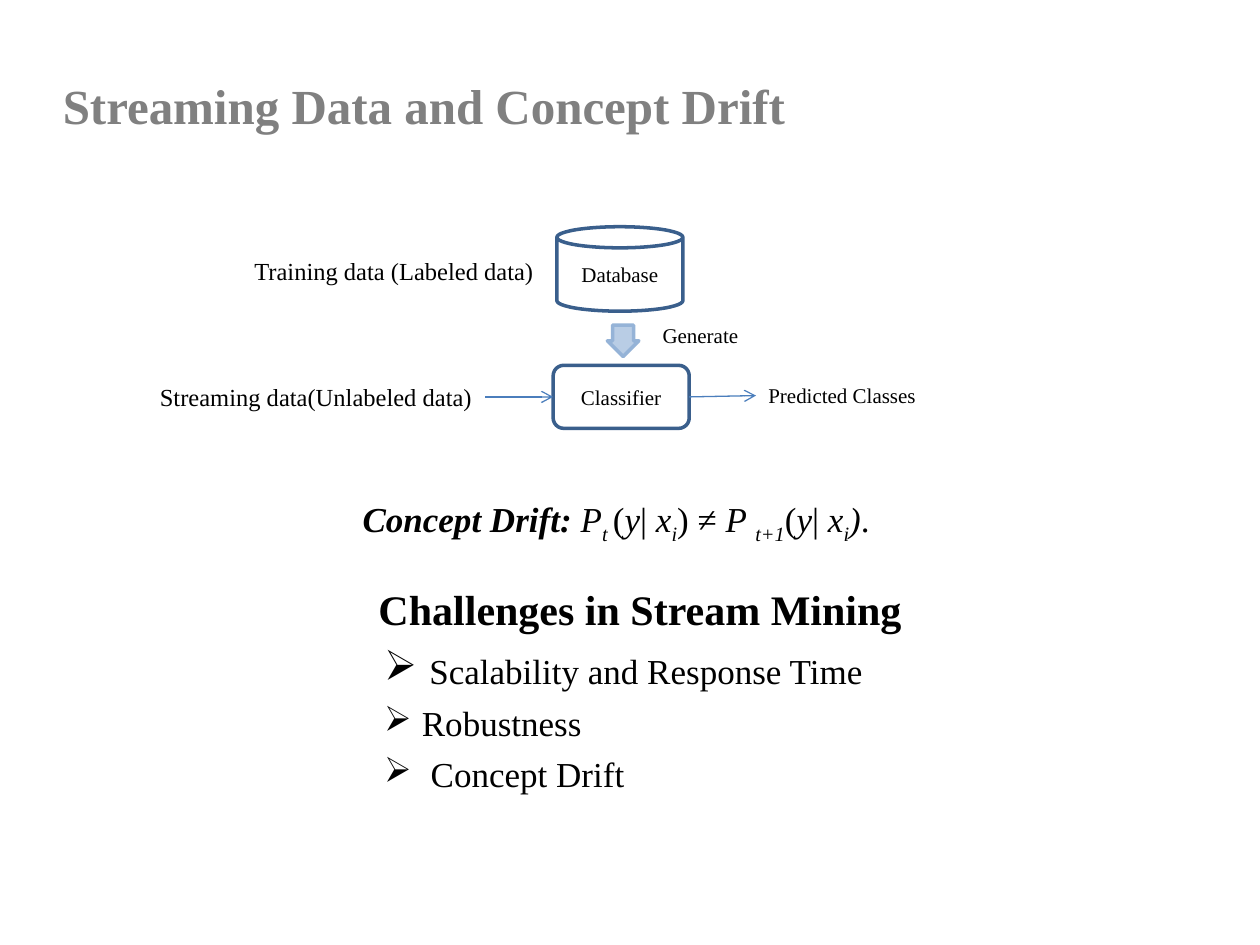
from lxml.etree import SubElement
from pptx import Presentation
from pptx.dml.color import RGBColor
from pptx.enum.shapes import MSO_CONNECTOR, MSO_SHAPE
from pptx.enum.text import MSO_ANCHOR, PP_ALIGN
from pptx.oxml.ns import qn
from pptx.util import Inches, Pt

FONT = "Times New Roman"
BLACK = RGBColor(0x00, 0x00, 0x00)
GRAY = RGBColor(0x80, 0x80, 0x80)
OUTLINE = RGBColor(0x3A, 0x5F, 0x8C)
FLOW = RGBColor(0x4B, 0x7E, 0xBC)
ARROW_FILL = RGBColor(0xB9, 0xCD, 0xE5)
ARROW_LINE = RGBColor(0x95, 0xB3, 0xD7)


def style_span(span, size, color=BLACK, bold=False, italic=False):
    """Apply the slide's typeface to one run."""
    span.font.name = FONT
    span.font.size = Pt(size)
    span.font.color.rgb = color
    span.font.bold = bold
    span.font.italic = italic


def add_label(page, left, top, width, height, text, size,
              color=BLACK, bold=False, wrap=False):
    """Add a text box holding one styled line and return its frame."""
    box = page.shapes.add_textbox(Inches(left), Inches(top), Inches(width), Inches(height))
    frame = box.text_frame
    frame.text = text
    frame.word_wrap = wrap
    for span in frame.paragraphs[0].runs:
        style_span(span, size, color, bold)
    return frame


def add_node(page, preset, left, top, width, height, text):
    """Add an outlined shape with a centred caption."""
    node = page.shapes.add_shape(preset, Inches(left), Inches(top), Inches(width), Inches(height))
    node.shadow.inherit = False
    node.fill.background()
    node.line.color.rgb = OUTLINE
    node.line.width = Pt(2)
    frame = node.text_frame
    frame.text = text
    frame.vertical_anchor = MSO_ANCHOR.MIDDLE
    para = frame.paragraphs[0]
    para.alignment = PP_ALIGN.CENTER
    style_span(para.runs[0], 12)


def add_flow(page, start_x, start_y, end_x, end_y):
    """Add a thin connector with an open arrowhead at its end."""
    flow = page.shapes.add_connector(MSO_CONNECTOR.STRAIGHT, Inches(start_x), Inches(start_y),
                                     Inches(end_x), Inches(end_y))
    flow.line.color.rgb = FLOW
    flow.line.width = Pt(0.75)
    SubElement(flow.line._get_or_add_ln(), qn("a:tailEnd"), type="arrow")
    SubElement(flow._element.spPr, qn("a:effectLst"))


def add_generate_arrow(page, left, top, side):
    """Add the block arrow that points down to the classifier."""
    arrow = page.shapes.add_shape(MSO_SHAPE.RIGHT_ARROW, Inches(left), Inches(top),
                                  Inches(side), Inches(side))
    arrow.rotation = 90
    arrow.adjustments[0] = 0.66
    arrow.shadow.inherit = False
    arrow.fill.solid()
    arrow.fill.fore_color.rgb = ARROW_FILL
    arrow.line.color.rgb = ARROW_LINE
    arrow.line.width = Pt(2)


def add_title(page, left, top, width, height):
    """Add the slide title."""
    frame = add_label(page, left, top, width, height, "Streaming Data and Concept Drift",
                      28, GRAY, bold=True, wrap=True)
    frame.vertical_anchor = MSO_ANCHOR.MIDDLE


def add_diagram(page, left, top):
    """Add the training and classification flow from its top left corner."""
    add_node(page, MSO_SHAPE.CAN, left + 3.25, top, 1, 0.67, "Database")
    add_node(page, MSO_SHAPE.ROUNDED_RECTANGLE, left + 3.22, top + 1.1, 1.08, 0.5, "Classifier")
    add_generate_arrow(page, left + 3.65, top + 0.78, 0.25)
    labels = [
        (0.75, 0.18, 2.44, 0.34, "Training data (Labeled data)", 14),
        (0, 1.18, 2.68, 0.34, "Streaming data(Unlabeled data)", 14),
        (3.99, 0.71, 0.81, 0.3, "Generate", 12),
        (4.83, 1.19, 1.4, 0.3, "Predicted Classes", 12),
    ]
    for x, y, width, height, text, size in labels:
        add_label(page, left + x, top + y, width, height, text, size)
    add_flow(page, left + 2.68, top + 1.35, left + 3.22, top + 1.35)
    add_flow(page, left + 4.3, top + 1.35, left + 4.83, top + 1.34)


def add_formula(page, left, top, width, height):
    """Add the concept drift definition with its subscripts."""
    para = add_label(page, left, top, width, height, "", 20).paragraphs[0]
    para.alignment = PP_ALIGN.CENTER
    conditional = [("(", ""), ("y", "i"), ("|", ""), (" x", "i"), ("i", "is")]
    pieces = [("Concept Drift: ", "bi"), ("P", "i"), ("t ", "is"), *conditional,
              (") ≠ ", ""), ("P ", "i"), ("t+1", "is"), *conditional, (")", "i"), (".", "")]
    for text, marks in pieces:
        span = para.add_run()
        span.text = text
        style_span(span, 20, bold="b" in marks, italic="i" in marks)
        if "s" in marks:
            span.font._element.set("baseline", "-25000")


def add_challenges(page, left, top, width, height):
    """Add the centred heading and its bulleted challenges."""
    frame = add_label(page, left, top, width, height, "Challenges in Stream Mining",
                      24, bold=True, wrap=True)
    heading = frame.paragraphs[0]
    heading.alignment = PP_ALIGN.CENTER
    heading.space_before = Pt(4.8)
    challenges = [
        ("Scalability and Response Time", 0.36, 9, 120),
        ("Robustness", 0.3, 6, 100),
        ("Concept Drift", 0.37, 5, 100),
    ]
    for text, hang, gap, bullet_size in challenges:
        para = frame.add_paragraph()
        para.text = text
        para.level = 3
        para.space_before = Pt(gap)
        style_span(para.runs[0], 20)
        props = para._p.get_or_add_pPr()
        props.set("marL", str(Inches(1.5 + hang)))
        props.set("indent", str(-Inches(hang)))
        SubElement(props, qn("a:buSzPct"), val=str(bullet_size * 1000))
        SubElement(props, qn("a:buChar"), char="➢")


def main():
    """Build the slide and save the deck."""
    deck = Presentation()
    deck.slide_width = Inches(10)
    deck.slide_height = Inches(7.5)
    page = deck.slides.add_slide(deck.slide_layouts[6])
    add_title(page, 0.4, 0.42, 8.5, 0.83)
    add_challenges(page, 1.45, 4.58, 7.26, 2.17)
    add_diagram(page, 1.17, 1.8)
    add_formula(page, 2.66, 3.9, 4.46, 0.44)
    deck.save("out.pptx")


if __name__ == "__main__":
    main()
